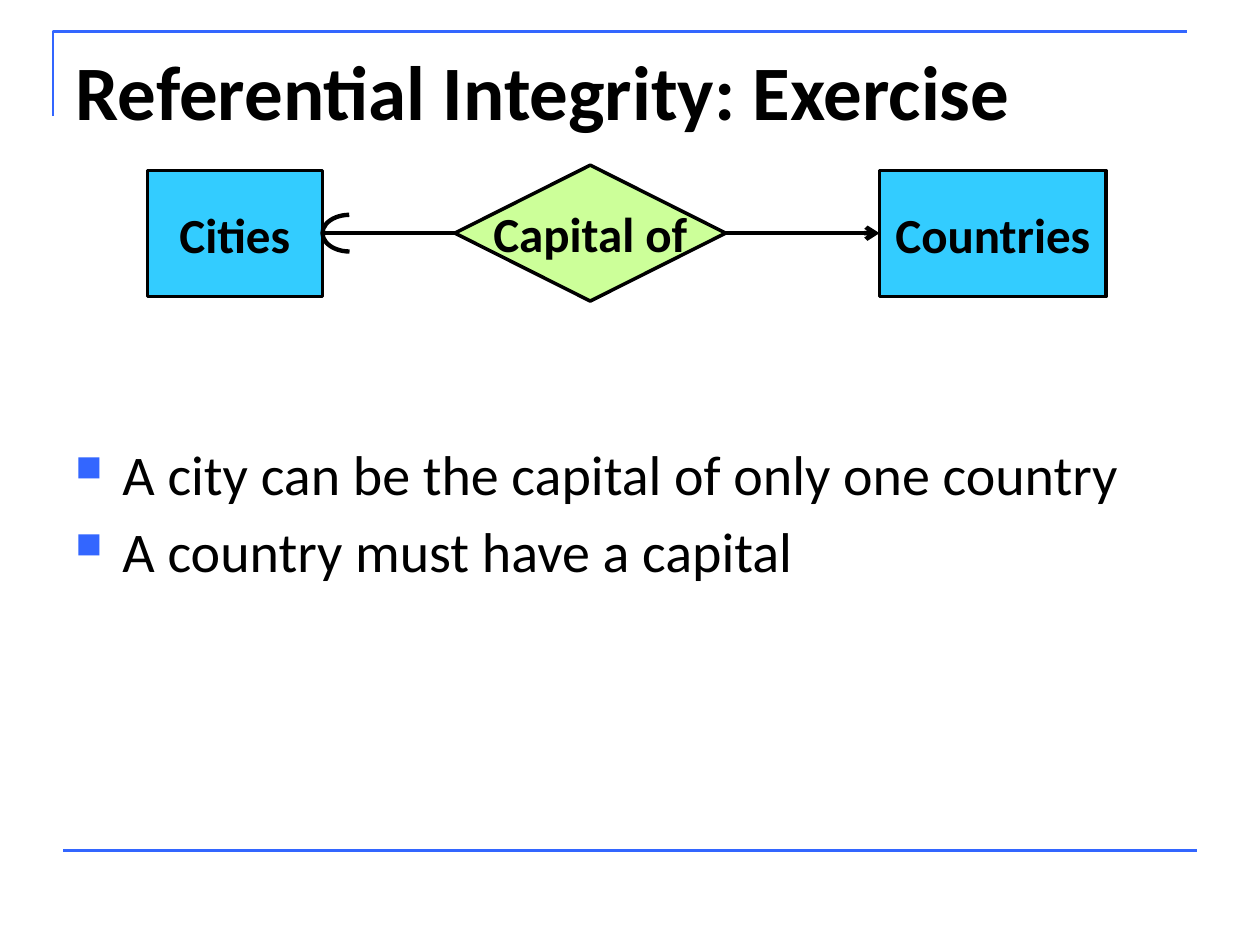
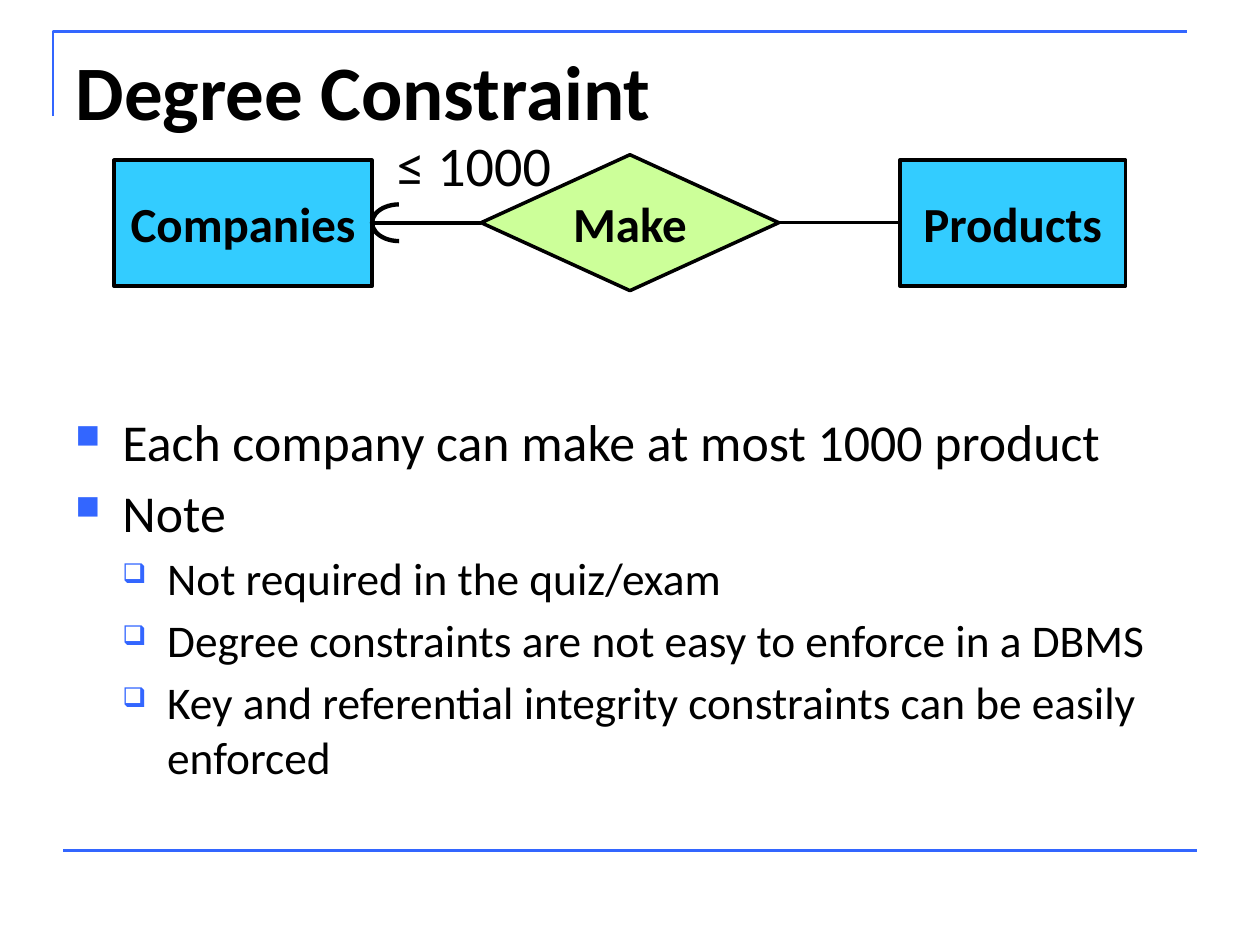
from lxml.etree import SubElement
from pptx import Presentation
from pptx.dml.color import RGBColor
from pptx.enum.shapes import MSO_CONNECTOR, MSO_SHAPE
from pptx.enum.text import MSO_ANCHOR, MSO_AUTO_SIZE, PP_ALIGN
from pptx.oxml.ns import qn
from pptx.util import Cm, Pt

FONT = "Calibri"
BLACK = "000000"
ACCENT = "3366FF"
ENTITY_FILL = "33CCFF"
RELATION_FILL = "CCFF99"

# Bullet levels: character, size in percent, text indent in cm, hanging in cm
BULLETS = [("■", 65, 0.95, 0.95), ("❑", 60, 1.85, 0.9)]

ENTITY_HEIGHT = 2.54
RELATION_HEIGHT = 2.74
ARC_WIDTH, ARC_HEIGHT = 1.09, 0.74


def color(hex_string):
    """Turn a hex string into a colour."""
    return RGBColor.from_string(hex_string)


def write(paragraph, text, size=28, bold=False, align=PP_ALIGN.LEFT):
    """Put formatted text into a paragraph."""
    paragraph.alignment = align
    run = paragraph.add_run()
    run.text = text
    run.font.name = FONT
    run.font.size = Pt(size)
    run.font.bold = bold
    run.font.color.rgb = color(BLACK)


def set_line(item, line_color=BLACK, width=2):
    """Give a shape or connector a solid line."""
    item.line.color.rgb = color(line_color)
    item.line.width = Pt(width)


def add_line(slide, start, end, line_color=BLACK, width=2.5, arrow=False):
    """Draw a straight line, with an open arrowhead at its end if asked."""
    points = [Cm(value) for value in (*start, *end)]
    connector = slide.shapes.add_connector(MSO_CONNECTOR.STRAIGHT, *points)
    set_line(connector, line_color, width)
    properties = connector.element.spPr
    SubElement(properties, qn("a:effectLst"))
    if arrow:
        SubElement(properties.find(qn("a:ln")), qn("a:tailEnd"), type="arrow")


def add_box(slide, kind, left, middle, width, height, fill, text):
    """Add a labelled shape centred vertically on a given height."""
    shape = slide.shapes.add_shape(
        kind, Cm(left), Cm(middle - height / 2), Cm(width), Cm(height))
    shape.shadow.inherit = False
    shape.fill.solid()
    shape.fill.fore_color.rgb = color(fill)
    set_line(shape)
    shape.text_frame.word_wrap = False
    shape.text_frame.vertical_anchor = MSO_ANCHOR.MIDDLE
    write(shape.text_frame.paragraphs[0], text, bold=True, align=PP_ALIGN.CENTER)


def add_round_end(slide, left, middle):
    """Add the half-round arrowhead that marks a referential constraint."""
    arc = slide.shapes.add_shape(
        MSO_SHAPE.ARC, Cm(left), Cm(middle - ARC_HEIGHT / 2),
        Cm(ARC_WIDTH), Cm(ARC_HEIGHT))
    arc.shadow.inherit = False
    arc.rotation = 180
    arc.adjustments[0] = 162
    arc.adjustments[1] = 53.46
    arc.fill.background()
    set_line(arc, width=2.5)


def add_relationship(slide, middle, source, relation, target, arrow=False):
    """Draw entity, relationship, entity; each is (text, left, width) in cm."""
    for text, left, width in (target, source):
        add_box(slide, MSO_SHAPE.RECTANGLE, left, middle + 0.01, width,
                ENTITY_HEIGHT, ENTITY_FILL, text)
    text, left, width = relation
    add_box(slide, MSO_SHAPE.DIAMOND, left, middle, width,
            RELATION_HEIGHT, RELATION_FILL, text)
    source_edge = source[1] + source[2]
    add_line(slide, (left + width, middle), (target[1], middle),
             width=2.5 if arrow else 2, arrow=arrow)
    add_line(slide, (left, middle), (source_edge, middle))
    add_round_end(slide, source_edge, middle)


def add_text_box(slide, left, top, width, height):
    """Add a wrapping text box and return its text frame."""
    box = slide.shapes.add_textbox(Cm(left), Cm(top), Cm(width), Cm(height))
    box.text_frame.word_wrap = True
    return box.text_frame


def add_bullets(slide, top, height, items, sizes):
    """Add a bullet list of (level, text) items with one size per level."""
    frame = add_text_box(slide, 1.27, top, 22.86, height)
    for index, (level, text) in enumerate(items):
        paragraph = frame.add_paragraph() if index else frame.paragraphs[0]
        paragraph.level = level
        paragraph.space_before = Pt(round(0.17 * sizes[level], 1))
        write(paragraph, text, size=sizes[level])
        character, percent, indent, hanging = BULLETS[level]
        properties = paragraph._p.get_or_add_pPr()
        properties.set("marL", str(Cm(indent)))
        properties.set("indent", str(-Cm(hanging)))
        bullet_color = SubElement(properties, qn("a:buClr"))
        SubElement(bullet_color, qn("a:srgbClr"), val=ACCENT)
        SubElement(properties, qn("a:buSzPct"), val=str(percent * 1000))
        SubElement(properties, qn("a:buChar"), char=character)


def add_frame_lines(slide):
    """Draw the corner line at the top and the rule at the bottom."""
    builder = slide.shapes.build_freeform(Cm(1.07), Cm(2.34))
    builder.add_line_segments(
        [(Cm(1.07), Cm(0.64)), (Cm(23.93), Cm(0.64))], close=False)
    corner = builder.convert_to_shape()
    corner.shadow.inherit = False
    corner.fill.background()
    set_line(corner, ACCENT, 1.5)
    add_line(slide, (1.27, 17.15), (24.13, 17.15), ACCENT, 1.5)


def add_slide(presentation, title_text):
    """Add a title-only slide with the shared lines and title style."""
    slide = presentation.slides.add_slide(presentation.slide_layouts[5])
    add_frame_lines(slide)
    title = slide.shapes.title
    title.left, title.top = Cm(1.27), Cm(0.76)
    title.width, title.height = Cm(22.86), Cm(3.18)
    title.text_frame.vertical_anchor = MSO_ANCHOR.TOP
    title.text_frame.auto_size = MSO_AUTO_SIZE.NONE
    write(title.text_frame.paragraphs[0], title_text, size=44, bold=True)
    return slide


def build_referential_integrity(presentation):
    """Build the exercise about cities and countries."""
    slide = add_slide(presentation, "Referential Integrity: Exercise")
    add_bullets(slide, 8.74, 8.3, [
        (0, "A city can be the capital of only one country"),
        (0, "A country must have a capital"),
    ], sizes=(32, 28))
    add_relationship(slide, 4.7, ("Cities", 2.97, 3.53),
                     ("Capital of", 9.17, 5.46), ("Countries", 17.73, 4.57),
                     arrow=True)


def build_degree_constraint(presentation):
    """Build the slide about a limited number of related entities."""
    slide = add_slide(presentation, "Degree Constraint")
    add_bullets(slide, 8.13, 8.9, [
        (0, "Each company can make at most 1000 product"),
        (0, "Note"),
        (1, "Not required in the quiz/exam"),
        (1, "Degree constraints are not easy to enforce in a DBMS"),
        (1, "Key and referential integrity constraints can be easily enforced"),
    ], sizes=(29.6, 25.9))
    add_relationship(slide, 4.49, ("Companies", 2.3, 5.2),
                     ("Make", 9.7, 6), ("Products", 18.14, 4.55))
    limit = add_text_box(slide, 7.75, 2.51, 3.91, 1.63)
    write(limit.paragraphs[0], "≤ 1000", size=32)


def main():
    """Build and save the presentation."""
    presentation = Presentation()
    presentation.slide_width, presentation.slide_height = Cm(25.4), Cm(19.05)
    build_referential_integrity(presentation)
    build_degree_constraint(presentation)
    presentation.save("out.pptx")


main()
